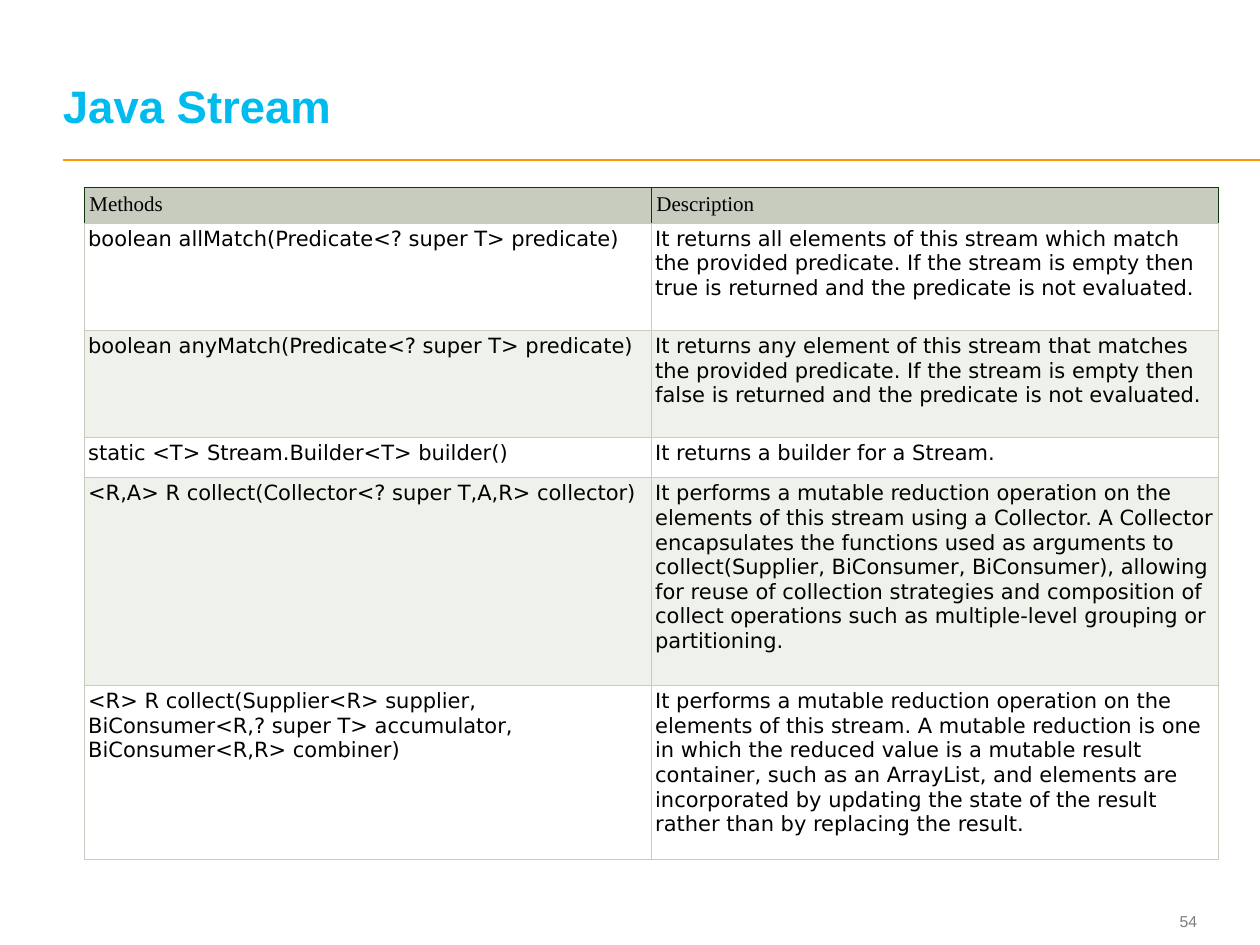
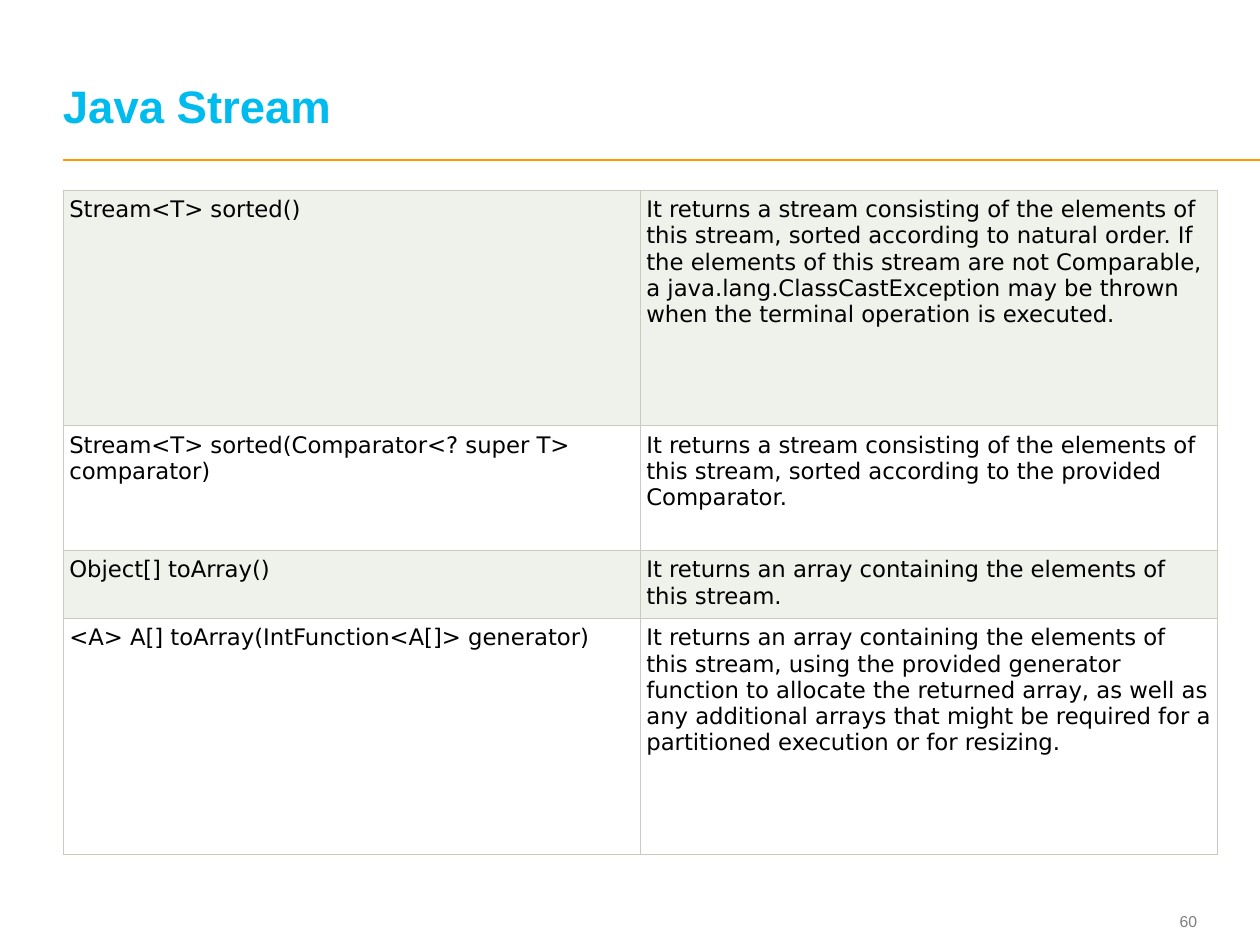
from dataclasses import dataclass

from lxml import etree
from pptx import Presentation
from pptx.dml.color import RGBColor
from pptx.enum.shapes import MSO_CONNECTOR
from pptx.enum.text import MSO_ANCHOR, PP_ALIGN
from pptx.oxml.ns import qn
from pptx.util import Inches, Pt

STRAIGHT = MSO_CONNECTOR.STRAIGHT
LEFT, RIGHT = PP_ALIGN.LEFT, PP_ALIGN.RIGHT
MIDDLE, BOTTOM = MSO_ANCHOR.MIDDLE, MSO_ANCHOR.BOTTOM


@dataclass(frozen=True)
class Theme:
    title: str = "00BBEE"
    rule: str = "FF9900"
    page: str = "7F7F7F"
    ink: str = "000000"
    header: str = "C7CCBE"
    grid: str = "C7CCBE"
    header_edge: str = "10380F"
    tint: str = "EFF1EB"
    plain: str = "FFFFFF"
    heading_font: str = "Arial"
    header_font: str = "Times New Roman"
    body_font: str = "DejaVu Sans"
    title_size: int = 26
    page_size: int = 9
    header_size: int = 12
    rule_width: float = 1
    grid_width: float = 0.6


THEME = Theme()
TITLE = "Java Stream"

PAGES = [
    {
        "number": 54, "left": 0.67, "top": 1.49, "column": 4.5,
        "size": 12, "inset": 0.03, "header_inset": 0.04,
        "header": ("Methods", "Description"),
        "heights": [0.27, 0.85, 0.85, 0.32, 1.65, 1.38],
        "methods": [
            ("boolean allMatch(Predicate<? super T> predicate)",
             "It returns all elements of this stream which match the provided predicate. "
             "If the stream is empty then true is returned and the predicate is not evaluated."),
            ("boolean anyMatch(Predicate<? super T> predicate)",
             "It returns any element of this stream that matches the provided predicate. "
             "If the stream is empty then false is returned and the predicate is not evaluated."),
            ("static <T> Stream.Builder<T> builder()",
             "It returns a builder for a Stream."),
            ("<R,A> R collect(Collector<? super T,A,R> collector)",
             "It performs a mutable reduction operation on the elements of this stream using "
             "a Collector. A Collector encapsulates the functions used as arguments to "
             "collect(Supplier, BiConsumer, BiConsumer), allowing for reuse of collection "
             "strategies and composition of collect operations such as multiple-level "
             "grouping or partitioning."),
            ("<R> R collect(Supplier<R> supplier, BiConsumer<R,? super T> accumulator, "
             "BiConsumer<R,R> combiner)",
             "It performs a mutable reduction operation on the elements of this stream. "
             "A mutable reduction is one in which the reduced value is a mutable result "
             "container, such as an ArrayList, and elements are incorporated by updating "
             "the state of the result rather than by replacing the result."),
        ],
    },
    {
        "number": 60, "left": 0.5, "top": 1.51, "column": 4.58,
        "size": 13, "inset": 0.05,
        "heights": [1.87, 0.99, 0.54, 1.87],
        "methods": [
            ("Stream<T> sorted()",
             "It returns a stream consisting of the elements of this stream, sorted "
             "according to natural order. If the elements of this stream are not "
             "Comparable, a java.lang.ClassCastException may be thrown when the terminal "
             "operation is executed."),
            ("Stream<T> sorted(Comparator<? super T> comparator)",
             "It returns a stream consisting of the elements of this stream, sorted "
             "according to the provided Comparator."),
            ("Object[] toArray()",
             "It returns an array containing the elements of this stream."),
            ("<A> A[] toArray(IntFunction<A[]> generator)",
             "It returns an array containing the elements of this stream, using the "
             "provided generator function to allocate the returned array, as well as any "
             "additional arrays that might be required for a partitioned execution or for "
             "resizing."),
        ],
    },
]


def write(frame, text, *, font, size, color, bold=False, align=LEFT, leading=None):
    frame.word_wrap = True
    paragraph = frame.paragraphs[0]
    paragraph.alignment = align
    if leading:
        paragraph.line_spacing = Pt(leading)
    run = paragraph.add_run()
    run.text = text
    run.font.name = font
    run.font.size = Pt(size)
    run.font.bold = bold
    run.font.color.rgb = RGBColor.from_string(color)


def add_label(slide, box, text, *, anchor, **style):
    frame = slide.shapes.add_textbox(*map(Inches, box)).text_frame
    frame.margin_left = frame.margin_right = frame.margin_top = frame.margin_bottom = 0
    frame.vertical_anchor = anchor
    write(frame, text, **style)


def add_frame(slide, number):
    rule = slide.shapes.add_connector(
        STRAIGHT, Inches(0.5), Inches(1.27), Inches(10), Inches(1.27))
    rule.line.color.rgb = RGBColor.from_string(THEME.rule)
    rule.line.width = Pt(THEME.rule_width)
    etree.SubElement(rule._element.spPr, qn("a:effectLst"))
    add_label(slide, (8.91, 7.18, 0.59, 0.27), str(number), anchor=MIDDLE, align=RIGHT,
              font=THEME.heading_font, size=THEME.page_size, color=THEME.page)
    add_label(slide, (0.5, 0.19, 8.97, 0.86), TITLE, anchor=BOTTOM, bold=True,
              font=THEME.heading_font, size=THEME.title_size, color=THEME.title,
              leading=THEME.title_size)


def set_borders(cell, side_color, bottom_color):
    properties = cell._tc.get_or_add_tcPr()
    for side in "LRTB":
        edge = etree.SubElement(properties, qn(f"a:ln{side}"), w=str(Pt(THEME.grid_width)))
        fill = etree.SubElement(edge, qn("a:solidFill"))
        etree.SubElement(fill, qn("a:srgbClr"), val=bottom_color if side == "B" else side_color)


def add_methods(slide, page):
    header = page.get("header")
    rows = ([header] if header else []) + page["methods"]
    columns = len(rows[0])
    table = slide.shapes.add_table(
        len(rows), columns, Inches(page["left"]), Inches(page["top"]),
        Inches(page["column"] * columns), Inches(sum(page["heights"]))).table
    table.first_row = table.horz_banding = False
    for column in table.columns:
        column.width = Inches(page["column"])
    for index, (entries, height) in enumerate(zip(rows, page["heights"])):
        table.rows[index].height = Inches(height)
        if entries is header:
            edge, fill, inset = THEME.header_edge, THEME.header, page["header_inset"]
            font, size = THEME.header_font, THEME.header_size
        else:
            edge, inset = THEME.grid, page["inset"]
            fill = THEME.plain if index % 2 else THEME.tint
            font, size = THEME.body_font, page["size"]
        for cell, entry in zip(table.rows[index].cells, entries):
            cell.margin_left = cell.margin_right = Inches(inset)
            cell.margin_top = cell.margin_bottom = Inches(inset)
            set_borders(cell, edge, THEME.grid)
            cell.fill.solid()
            cell.fill.fore_color.rgb = RGBColor.from_string(fill)
            write(cell.text_frame, entry, font=font, size=size, color=THEME.ink)


def main():
    deck = Presentation()
    deck.slide_width, deck.slide_height = Inches(10), Inches(7.5)
    for page in PAGES:
        slide = deck.slides.add_slide(deck.slide_layouts[6])
        add_frame(slide, page["number"])
        add_methods(slide, page)
    deck.save("out.pptx")


if __name__ == "__main__":
    main()
